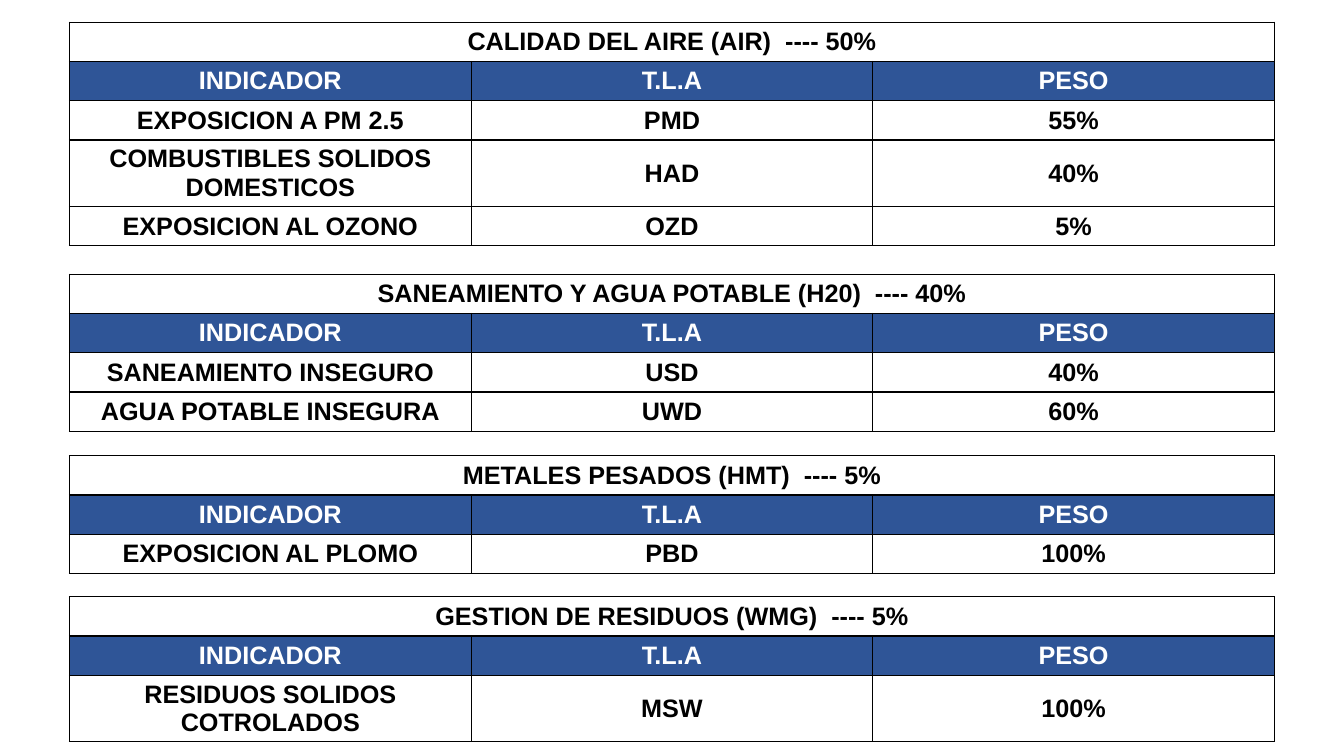
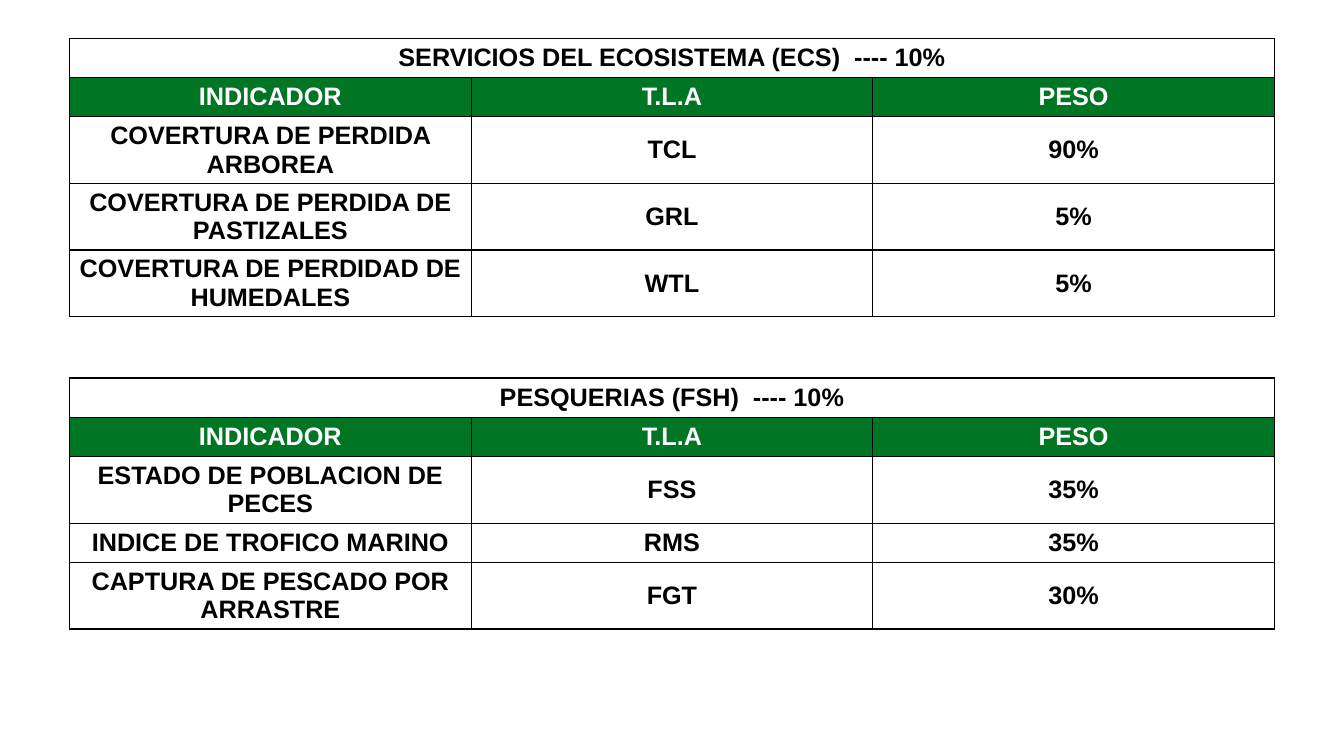
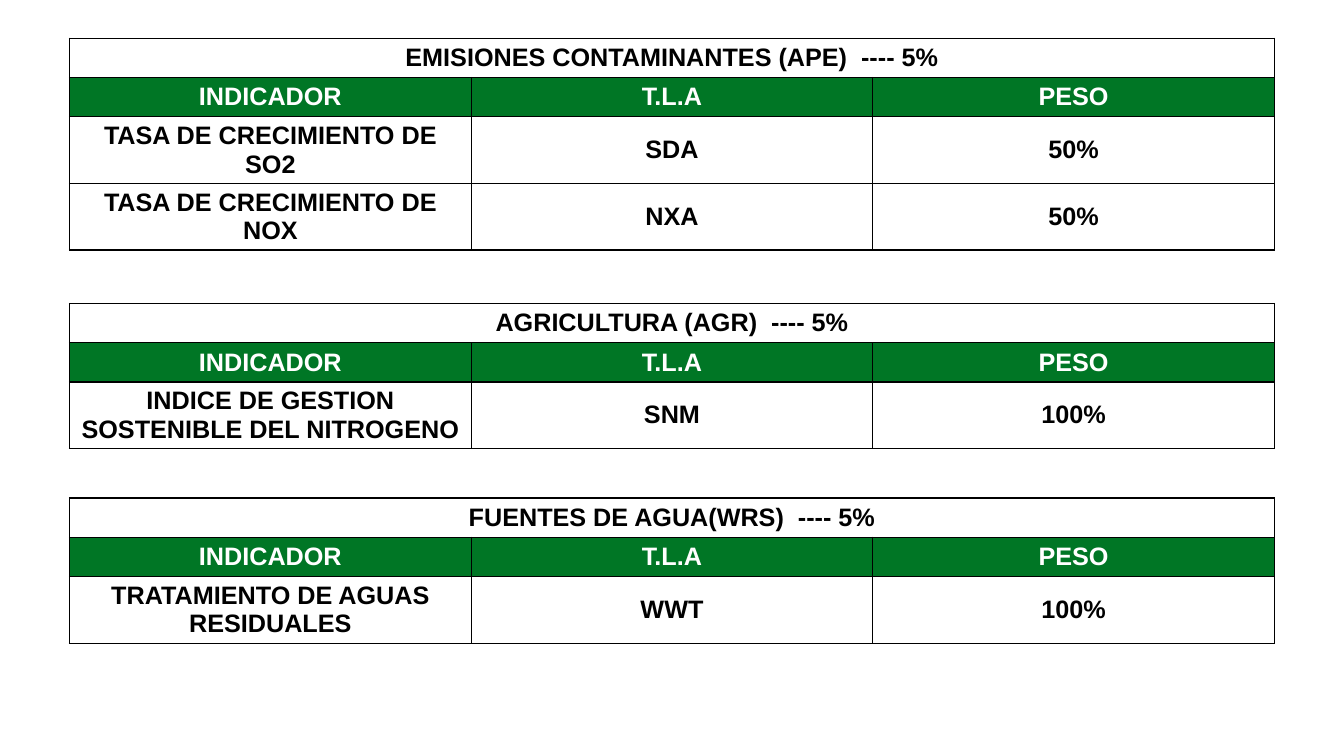
"""Builds three slides of environmental indicator tables with their weights."""
from dataclasses import dataclass

from lxml.etree import SubElement
from pptx import Presentation
from pptx.dml.color import RGBColor
from pptx.enum.text import MSO_ANCHOR as Anchor, PP_ALIGN as Align
from pptx.oxml.ns import qn
from pptx.util import Inches, Pt


@dataclass(frozen=True)
class Theme:
    """Colours, type and measures shared by all slides."""
    font: str = "Arial"
    size: int = 18
    ink: str = "000000"
    paper: str = "FFFFFF"
    health: str = "2F5597"
    ecosystem: str = "007625"
    border: float = 1
    left: float = 0.69
    width: float = 11.95
    row: float = 0.39
    one_line: float = 0.4
    two_lines: float = 0.7
    line_chars: int = 24


THEME = Theme()
HEADINGS = ("INDICADOR", "T.L.A", "PESO")

SLIDES = [
    {"accent": THEME.health, "top": 0.22, "gap": 0.2, "categories": [
        ("CALIDAD DEL AIRE (AIR)  ---- 50%", [
            ("EXPOSICION A PM 2.5", "PMD", "55%"),
            ("COMBUSTIBLES SOLIDOS DOMESTICOS", "HAD", "40%"),
            ("EXPOSICION AL OZONO", "OZD", "5%")]),
        ("SANEAMIENTO Y AGUA POTABLE (H20)  ---- 40%", [
            ("SANEAMIENTO INSEGURO", "USD", "40%"),
            ("AGUA POTABLE INSEGURA", "UWD", "60%")]),
        ("METALES PESADOS (HMT)  ---- 5%", [
            ("EXPOSICION AL PLOMO", "PBD", "100%")]),
        ("GESTION DE RESIDUOS (WMG)  ---- 5%", [
            ("RESIDUOS SOLIDOS COTROLADOS", "MSW", "100%")]),
    ]},
    {"accent": THEME.ecosystem, "top": 0.38, "gap": 0.47, "categories": [
        ("SERVICIOS DEL ECOSISTEMA (ECS)  ---- 10%", [
            ("COVERTURA DE PERDIDA ARBOREA", "TCL", "90%"),
            ("COVERTURA DE PERDIDA DE PASTIZALES", "GRL", "5%"),
            ("COVERTURA DE PERDIDAD DE HUMEDALES", "WTL", "5%")]),
        ("PESQUERIAS (FSH)  ---- 10%", [
            ("ESTADO DE POBLACION DE PECES", "FSS", "35%"),
            ("INDICE DE TROFICO MARINO", "RMS", "35%"),
            ("CAPTURA DE PESCADO POR ARRASTRE", "FGT", "30%")]),
    ]},
    {"accent": THEME.ecosystem, "top": 0.38, "gap": 0.43, "categories": [
        ("EMISIONES CONTAMINANTES (APE)  ---- 5%", [
            ("TASA DE CRECIMIENTO DE SO2", "SDA", "50%"),
            ("TASA DE CRECIMIENTO DE NOX", "NXA", "50%")]),
        ("AGRICULTURA (AGR)  ---- 5%", [
            ("INDICE DE GESTION SOSTENIBLE DEL NITROGENO", "SNM", "100%")]),
        ("FUENTES DE AGUA(WRS)  ---- 5%", [
            ("TRATAMIENTO DE AGUAS RESIDUALES", "WWT", "100%")]),
    ]},
]


def add_borders(cell):
    """Draw the four cell borders."""
    properties = cell._tc.get_or_add_tcPr()
    for side in ("lnL", "lnR", "lnT", "lnB"):
        line = SubElement(properties, qn(f"a:{side}"), w=str(Pt(THEME.border)))
        fill = SubElement(line, qn("a:solidFill"))
        SubElement(fill, qn("a:srgbClr"), val=THEME.ink)


def format_cell(cell, text, ink=THEME.ink, fill=None):
    """Write and style one cell."""
    add_borders(cell)
    if fill:
        cell.fill.solid()
        cell.fill.fore_color.rgb = RGBColor.from_string(fill)
    else:
        cell.fill.background()
    cell.vertical_anchor = Anchor.MIDDLE
    cell.text = text
    paragraph = cell.text_frame.paragraphs[0]
    paragraph.alignment = Align.CENTER
    font = paragraph.font
    font.name, font.size, font.bold = THEME.font, Pt(THEME.size), True
    font.color.rgb = RGBColor.from_string(ink)


def category_height(indicators):
    """Return the height a category takes, with room for wrapped names."""
    return 2 * THEME.one_line + sum(
        THEME.two_lines if len(name) > THEME.line_chars else THEME.one_line
        for name, _, _ in indicators)


def add_category(slide, top, accent, title, indicators):
    """Add one category table and return its height."""
    height = category_height(indicators)
    frame = slide.shapes.add_table(
        len(indicators) + 2, len(HEADINGS), Inches(THEME.left), Inches(top),
        Inches(THEME.width), Inches(height))
    table = frame.table
    table.first_row = table.horz_banding = False
    styled_rows = [
        ((title, "", ""), THEME.ink, THEME.paper),
        (HEADINGS, THEME.paper, accent),
        *((indicator, THEME.ink, None) for indicator in indicators),
    ]
    for row, (texts, ink, fill) in zip(table.rows, styled_rows):
        row.height = Inches(THEME.row)
        for cell, text in zip(row.cells, texts):
            format_cell(cell, text, ink, fill)
    table.cell(0, 0).merge(table.cell(0, len(HEADINGS) - 1))
    frame.height = Inches(height)
    return height


def main():
    """Build and save the presentation."""
    deck = Presentation()
    deck.slide_width, deck.slide_height = Inches(13.33), Inches(7.5)
    for content in SLIDES:
        slide = deck.slides.add_slide(deck.slide_layouts[6])
        top = content["top"]
        for title, indicators in content["categories"]:
            height = add_category(slide, top, content["accent"], title, indicators)
            top += height + content["gap"]
    deck.save("out.pptx")


if __name__ == "__main__":
    main()
